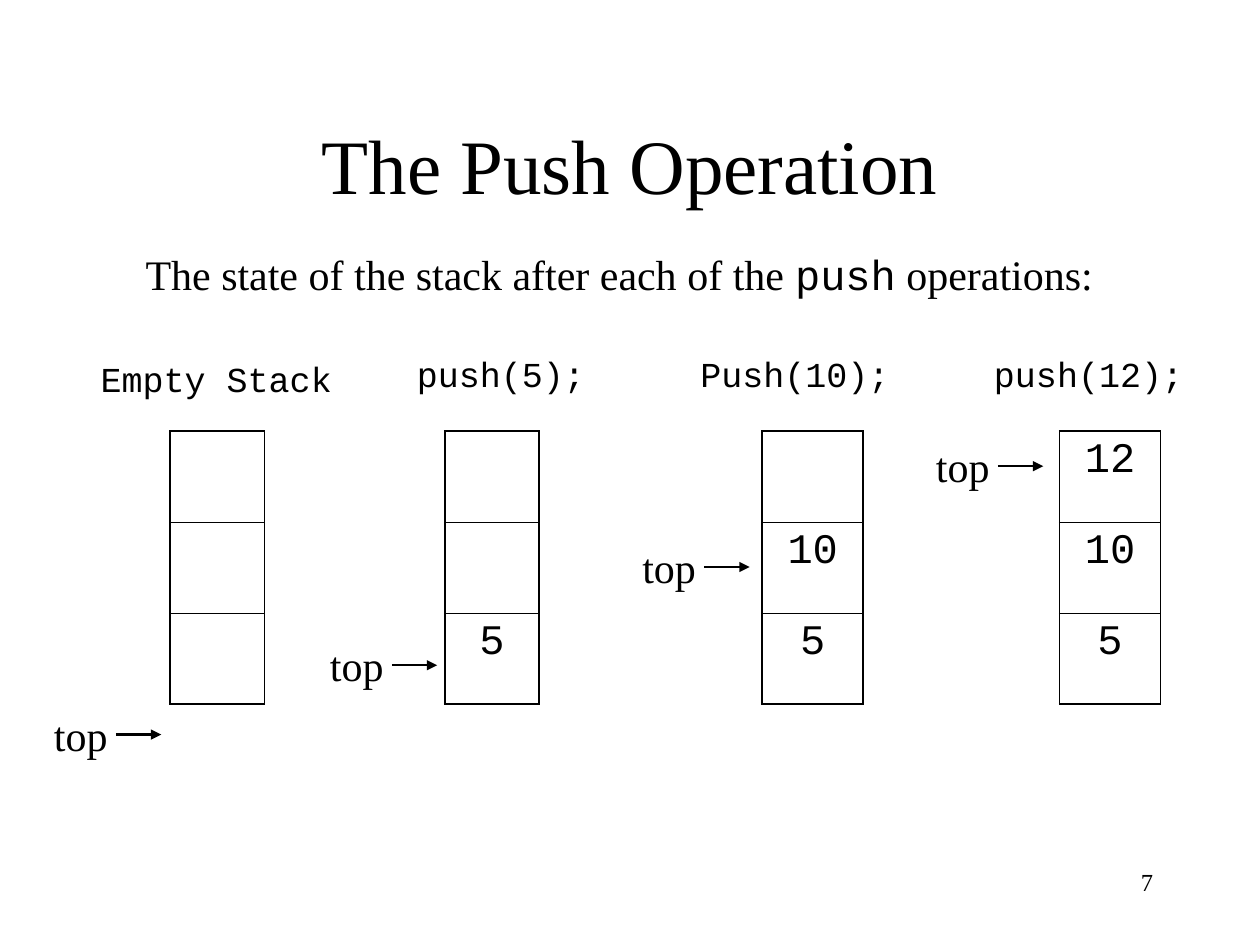
"""Draw the states of a stack after each push."""
from dataclasses import dataclass

from lxml.etree import SubElement
from pptx import Presentation
from pptx.dml.color import RGBColor
from pptx.enum.shapes import MSO_CONNECTOR
from pptx.enum.text import MSO_ANCHOR, PP_ALIGN
from pptx.oxml.ns import qn
from pptx.util import Inches, Pt


@dataclass(frozen=True)
class Theme:
    ink: RGBColor = RGBColor(0, 0, 0)
    serif: str = "Times New Roman"
    mono: str = "Courier New"
    title: int = 44
    body: int = 24
    call: int = 20
    page: int = 14
    arrow: float = 1.25
    edge: float = 1.08
    rule: float = 0.45


@dataclass(frozen=True)
class Box:
    left: float
    top: float
    width: float
    height: float


@dataclass(frozen=True)
class Stack:
    call: str
    head: Box
    grid: Box
    cells: tuple[str, str, str]
    mark: tuple[float, float]


THEME = Theme()
STACKS = (
    Stack("Empty Stack", Box(0.7, 2.79, 2.06, 0.44),
          Box(1.35, 3.42, 0.75, 2.17), ("", "", ""), (0.33, 5.58)),
    Stack("push(5);", Box(3.21, 2.75, 1.56, 0.44),
          Box(3.53, 3.42, 0.75, 2.17), ("", "", "5"), (2.52, 5.03)),
    Stack("Push(10);", Box(5.46, 2.75, 1.72, 0.44),
          Box(6.05, 3.42, 0.8, 2.17), ("", "10", "5"), (5.0, 4.25)),
    Stack("push(12);", Box(7.79, 2.75, 1.72, 0.44),
          Box(8.41, 3.42, 0.8, 2.17), ("12", "10", "5"), (7.33, 3.45)),
)


def place(box: Box) -> tuple:
    return tuple(Inches(n) for n in (box.left, box.top, box.width, box.height))


def add_run(para, text: str, font: str, size: int) -> None:
    run = para.add_run()
    run.text = text
    run.font.name = font
    run.font.size = Pt(size)
    run.font.color.rgb = THEME.ink


def add_text(slide, box: Box, runs: list[tuple[str, str]], size: int,
             align=PP_ALIGN.LEFT, space: int = 0,
             anchor=MSO_ANCHOR.TOP) -> None:
    frame = slide.shapes.add_textbox(*place(box)).text_frame
    frame.word_wrap = True
    frame.vertical_anchor = anchor
    para = frame.paragraphs[0]
    para.alignment = align
    para.space_before = Pt(space)
    for text, font in runs:
        add_run(para, text, font, size)


def add_edge(cell, side: str, width: float) -> None:
    line = SubElement(cell._tc.get_or_add_tcPr(), qn(f"a:{side}"), w=str(Pt(width)))
    fill = SubElement(line, qn("a:solidFill"))
    SubElement(fill, qn("a:srgbClr"), val=str(THEME.ink))


def add_grid(slide, box: Box, cells: tuple[str, ...]) -> None:
    table = slide.shapes.add_table(len(cells), 1, *place(box)).table
    table.first_row = False
    table.horz_banding = False
    last = len(cells) - 1
    for row, text in enumerate(cells):
        cell = table.cell(row, 0)
        add_edge(cell, "lnL", THEME.edge)
        add_edge(cell, "lnR", THEME.edge)
        add_edge(cell, "lnT", THEME.edge if row == 0 else THEME.rule)
        add_edge(cell, "lnB", THEME.edge if row == last else THEME.rule)
        cell.fill.background()
        if text:
            para = cell.text_frame.paragraphs[0]
            para.alignment = PP_ALIGN.CENTER
            add_run(para, text, THEME.mono, THEME.body)


def add_mark(slide, left: float, top: float) -> None:
    add_text(slide, Box(left, top, 0.67, 0.5), [("top", THEME.serif)], THEME.body)
    start, level = Inches(left + 0.59), Inches(top + 0.25)
    arrow = slide.shapes.add_connector(
        MSO_CONNECTOR.STRAIGHT, start, level, start + Inches(0.36), level)
    arrow.line.color.rgb = THEME.ink
    arrow.line.width = Pt(THEME.arrow)
    SubElement(arrow.line._get_or_add_ln(), qn("a:tailEnd"), type="triangle")
    SubElement(arrow._element.spPr, qn("a:effectLst"))


def add_stack(slide, stack: Stack) -> None:
    add_text(slide, stack.head, [(stack.call, THEME.mono)], THEME.call)
    add_grid(slide, stack.grid, stack.cells)
    add_mark(slide, *stack.mark)


def main() -> None:
    deck = Presentation()
    deck.slide_width, deck.slide_height = Inches(10), Inches(7.5)
    slide = deck.slides.add_slide(deck.slide_layouts[6])
    add_text(slide, Box(0.75, 0.67, 8.5, 1.25), [("The Push Operation", THEME.serif)],
             THEME.title, PP_ALIGN.CENTER, anchor=MSO_ANCHOR.MIDDLE)
    add_text(slide, Box(0.5, 1.92, 8.83, 0.5),
             [("The state of the stack after each of the ", THEME.serif),
              ("push", THEME.mono), (" operations:", THEME.serif)],
             THEME.body, PP_ALIGN.CENTER, space=15)
    for stack in STACKS:
        add_stack(slide, stack)
    add_text(slide, Box(7.17, 6.83, 2.08, 0.5), [("7", THEME.serif)],
             THEME.page, PP_ALIGN.RIGHT)
    deck.save("out.pptx")


if __name__ == "__main__":
    main()
